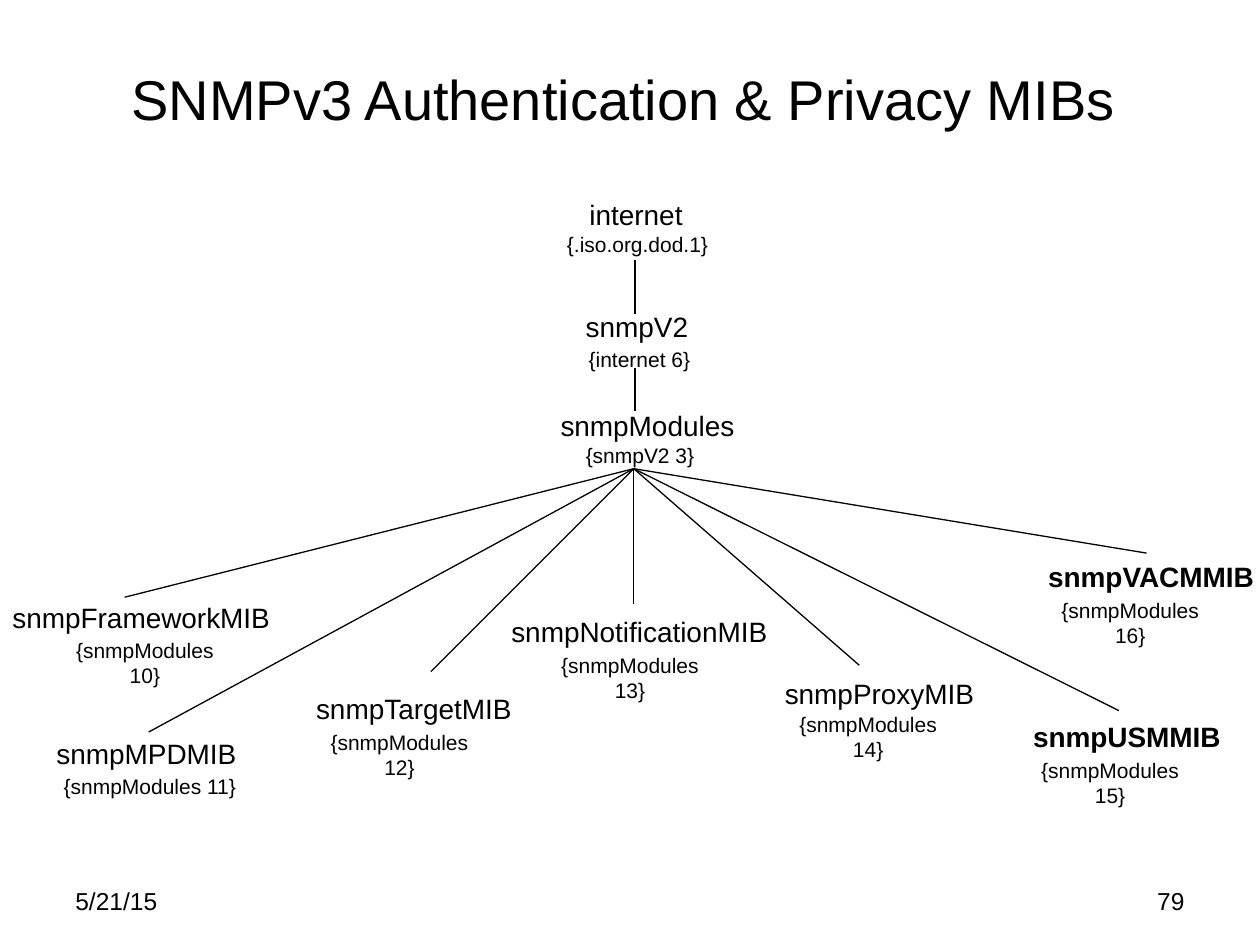
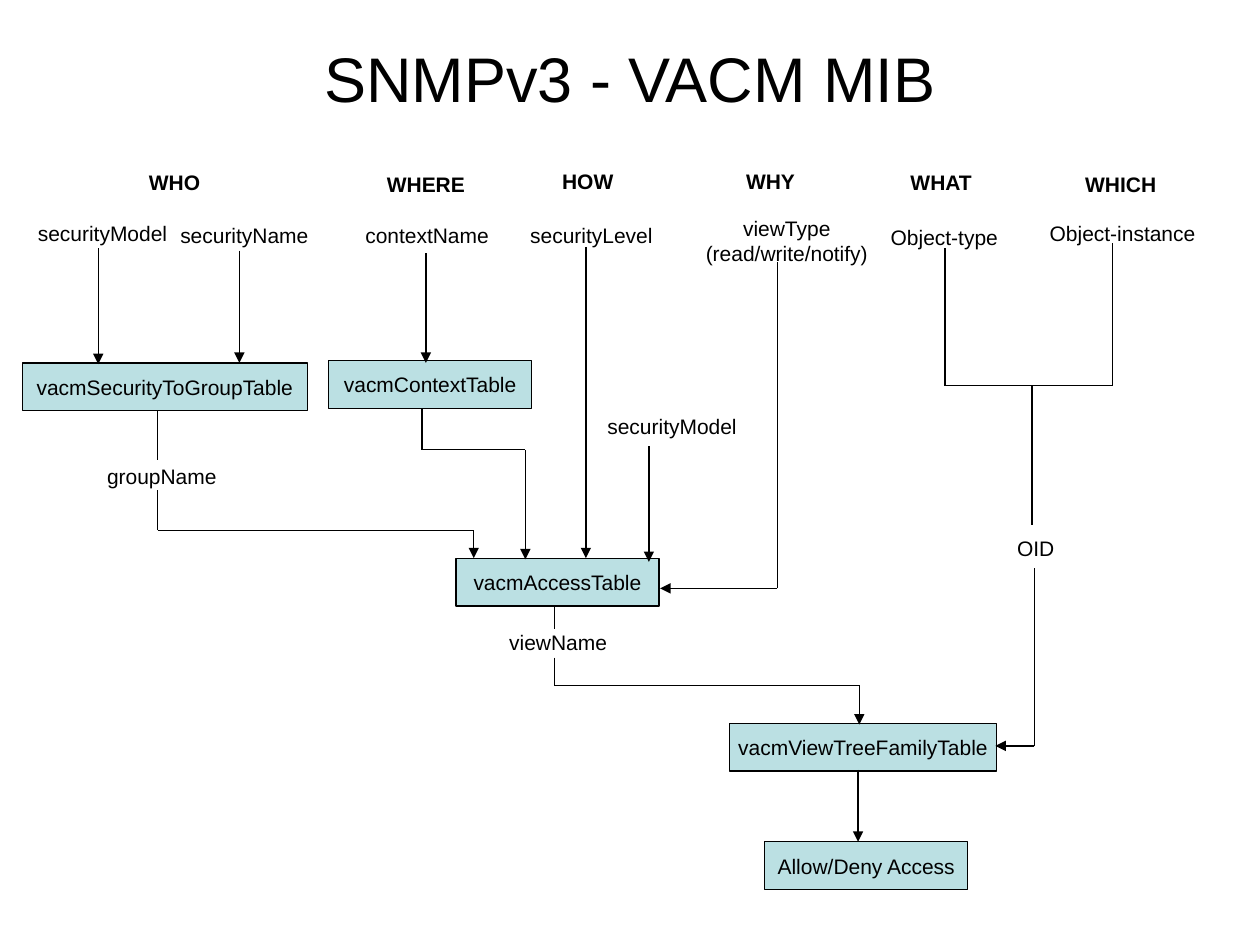
from dataclasses import dataclass
from itertools import pairwise

from pptx import Presentation
from pptx.dml.color import RGBColor
from pptx.enum.shapes import MSO_CONNECTOR, MSO_SHAPE
from pptx.enum.text import MSO_ANCHOR, MSO_AUTO_SIZE, PP_ALIGN
from pptx.oxml.ns import qn
from pptx.oxml.xmlchemy import OxmlElement
from pptx.slide import Slide
from pptx.util import Inches, Pt

LEFT, CENTER, RIGHT = PP_ALIGN.LEFT, PP_ALIGN.CENTER, PP_ALIGN.RIGHT
TOP, MIDDLE = MSO_ANCHOR.TOP, MSO_ANCHOR.MIDDLE
GROW, FIXED = MSO_AUTO_SIZE.SHAPE_TO_FIT_TEXT, MSO_AUTO_SIZE.NONE
RECT, STRAIGHT = MSO_SHAPE.RECTANGLE, MSO_CONNECTOR.STRAIGHT

FONT = "Arial"
INK = "000000"
TEAL = "BBE0E3"
THIN = Pt(0.75)
SMALL, NORMAL, LARGE = 12, 16, 14
NAME_H, ID_H, BOX_H = 0.37, 0.3, 0.38
LEAF_ID_W = 1.58
HUB = (5.03, 3.72)
FIRST_LEAF = 10

Point = tuple[float, float]


@dataclass
class Label:
    text: str
    left: float
    top: float
    width: float
    height: float = ID_H


@dataclass
class Node:
    name: Label
    tag: Label


@dataclass
class Leaf:
    name: Label
    tag_at: Point
    end: Point
    bold: bool = False
    split: bool = True


@dataclass
class Route:
    points: list[Point]
    arrow: bool = True


TRUNK = [
    Node(Label("internet", 4.58, 1.52, 0.94, NAME_H),
         Label("{.iso.org.dod.1}", 4.4, 1.79, 1.32)),
    Node(Label("snmpV2", 4.55, 2.41, 1.02, NAME_H),
         Label("{internet 6}", 4.57, 2.7, 1.01)),
    Node(Label("snmpModules", 4.35, 3.19, 1.58, NAME_H),
         Label("{snmpV2 3}", 4.55, 3.46, 1.06)),
]
STEMS = [(2.06, 2.49), (2.92, 3.26)]
STEM_X = 5.04

LEAVES = [
    Leaf(Label("snmpFrameworkMIB", 0, 4.72, 2.25, NAME_H), (0.51, 5.01), (0.99, 4.74)),
    Leaf(Label("snmpMPDMIB", 0.35, 5.8, 1.63, NAME_H), (0.4, 6.09), (1.18, 5.81),
         split=False),
    Leaf(Label("snmpTargetMIB", 2.41, 5.44, 1.78, NAME_H), (2.53, 5.74), (3.42, 5.33)),
    Leaf(Label("snmpNotificationMIB", 3.96, 4.83, 2.24, NAME_H), (4.36, 5.13), (5.03, 4.79)),
    Leaf(Label("snmpProxyMIB", 6.13, 5.32, 1.71, NAME_H), (6.25, 5.6), (6.82, 5.28)),
    Leaf(Label("snmpUSMMIB", 8.1, 5.66, 1.69, NAME_H), (8.17, 5.96), (8.88, 5.64),
         bold=True),
    Leaf(Label("snmpVACMMIB", 8.22, 4.39, 1.85, NAME_H), (8.33, 4.69), (9.1, 4.39),
         bold=True),
]

TABLES = [
    Label("vacmSecurityToGroupTable", 0.18, 2.88, 2.26, BOX_H),
    Label("vacmContextTable", 2.61, 2.86, 1.61, BOX_H),
    Label("vacmAccessTable", 3.62, 4.43, 1.61, BOX_H),
    Label("vacmViewTreeFamilyTable", 5.79, 5.74, 2.12, BOX_H),
    Label("Allow/Deny Access", 6.07, 6.68, 1.61, BOX_H),
]

QUERIES = [
    Label("WHO", 1.08, 1.3, 0.61),
    Label("WHERE", 2.97, 1.31, 0.82),
    Label("HOW", 4.36, 1.29, 0.61),
    Label("WHY", 5.82, 1.29, 0.59),
    Label("WHAT", 7.12, 1.3, 0.7),
    Label("WHICH", 8.51, 1.31, 0.77),
]

FIELDS = [
    Label("securityModel", 0.2, 1.7, 1.23),
    Label("securityName", 1.33, 1.72, 1.22),
    Label("contextName", 2.8, 1.72, 1.18),
    Label("securityLevel", 4.11, 1.72, 1.17),
    Label("viewType\n(read/write/notify)", 5.5, 1.66, 1.49, 0.5),
    Label("Object-type", 6.97, 1.73, 1.05),
    Label("Object-instance", 8.23, 1.7, 1.36),
    Label("securityModel", 4.72, 3.23, 1.23),
    Label("groupName", 0.75, 3.63, 1.07),
    Label("viewName", 3.94, 4.95, 0.98),
    Label("OID", 7.97, 4.2, 0.5),
]

ROUTES = [
    Route([(0.78, 1.97), (0.78, 2.89)]),
    Route([(1.9, 1.99), (1.9, 2.88)]),
    Route([(3.38, 2.01), (3.38, 2.88)]),
    Route([(4.65, 1.96), (4.65, 4.43)]),
    Route([(5.15, 3.54), (5.15, 4.46)]),
    Route([(1.25, 3.26), (1.25, 3.65)], arrow=False),
    Route([(1.25, 3.89), (1.25, 4.21), (3.76, 4.21), (3.76, 4.43)]),
    Route([(3.35, 3.24), (3.35, 3.57), (4.17, 3.57), (4.17, 4.44)]),
    Route([(6.17, 2.08), (6.17, 4.67), (5.24, 4.67)]),
    Route([(4.4, 4.81), (4.4, 4.99)], arrow=False),
    Route([(4.4, 5.22), (4.4, 5.44), (6.82, 5.44), (6.82, 5.75)]),
    Route([(7.5, 1.97), (7.5, 3.06), (8.83, 3.06), (8.83, 1.93)], arrow=False),
    Route([(8.19, 3.06), (8.19, 4.17)], arrow=False),
    Route([(8.21, 4.51), (8.21, 5.92), (7.9, 5.92)]),
    Route([(6.81, 6.11), (6.81, 6.68)]),
]


def tint(code: str) -> RGBColor:
    return RGBColor.from_string(code)


def frame(label: Label) -> list[int]:
    return [Inches(n) for n in (label.left, label.top, label.width, label.height)]


def write(shape, text: str, *, size: float = SMALL, bold: bool = False,
          align=CENTER, anchor=TOP, wrap: bool = False, fit=FIXED) -> None:
    body = shape.text_frame
    body.word_wrap = wrap
    body.auto_size = fit
    body.vertical_anchor = anchor
    body.text = text
    for para in body.paragraphs:
        para.alignment = align
        para.font.name = FONT
        para.font.size = Pt(size)
        para.font.bold = bold
        para.font.color.rgb = tint(INK)


def add_text(slide: Slide, label: Label, **style):
    shape = slide.shapes.add_textbox(*frame(label))
    write(shape, label.text, **style)
    return shape


def add_title(slide: Slide, label: Label, size: float) -> None:
    add_text(slide, label, size=size, anchor=MIDDLE, wrap=True)


def add_box(slide: Slide, label: Label) -> None:
    box = slide.shapes.add_shape(RECT, *frame(label))
    box.shadow.inherit = False
    box.fill.solid()
    box.fill.fore_color.rgb = tint(TEAL)
    box.line.color.rgb = tint(INK)
    box.line.width = THIN
    write(box, label.text, anchor=MIDDLE)


def add_line(slide: Slide, start: Point, end: Point, arrow: bool = False) -> None:
    ends = [Inches(n) for n in (*start, *end)]
    line = slide.shapes.add_connector(STRAIGHT, *ends)
    line.line.color.rgb = tint(INK)
    line.line.width = THIN
    props = line.element.spPr
    if arrow:
        tip = OxmlElement("a:tailEnd")
        tip.set("type", "triangle")
        props.find(qn("a:ln")).append(tip)
    props.append(OxmlElement("a:effectLst"))


def add_route(slide: Slide, route: Route) -> None:
    """Draw straight legs; only the last one may carry the arrowhead."""
    for start, end in pairwise(route.points):
        add_line(slide, start, end, route.arrow and end == route.points[-1])


def add_name(slide: Slide, label: Label, bold: bool = False) -> None:
    add_text(slide, label, size=NORMAL, bold=bold, align=LEFT, fit=GROW)


def add_leaf(slide: Slide, leaf: Leaf, number: int) -> None:
    add_line(slide, HUB, leaf.end)
    add_name(slide, leaf.name, leaf.bold)
    label = Label(f"{{snmpModules {number}}}", *leaf.tag_at, LEAF_ID_W)
    tag = add_text(slide, label, wrap=leaf.split, fit=FIXED if leaf.split else GROW)
    if leaf.split:
        tag.text_frame.margin_left = Inches(0.05)
        tag.text_frame.margin_right = Inches(0.35)


def draw_tree(slide: Slide) -> None:
    add_title(slide, Label("SNMPv3 Authentication & Privacy MIBs", 0.45, 0.15, 9, 1.25), 32)
    for node in TRUNK:
        add_name(slide, node.name)
        add_text(slide, node.tag, fit=GROW)
    for top, bottom in STEMS:
        add_line(slide, (STEM_X, top), (STEM_X, bottom))
    for number, leaf in enumerate(LEAVES, FIRST_LEAF):
        add_leaf(slide, leaf, number)
    for text, left, align in (("5/21/15", 0.5, LEFT), ("79", 7.17, RIGHT)):
        add_text(slide, Label(text, left, 6.98, 2.33, 0.52),
                 size=LARGE, align=align, wrap=True)


def draw_flow(slide: Slide) -> None:
    add_title(slide, Label("SNMPv3 - VACM MIB", 0.5, 0.17, 9, 0.88), 36)
    for table in TABLES:
        add_box(slide, table)
    for route in ROUTES:
        add_route(slide, route)
    for field in FIELDS:
        add_text(slide, field, fit=GROW)
    for query in QUERIES:
        add_text(slide, query, bold=True, fit=GROW)


def main() -> None:
    deck = Presentation()
    deck.slide_width, deck.slide_height = Inches(10), Inches(7.5)
    blank = deck.slide_layouts[6]
    for draw in (draw_tree, draw_flow):
        draw(deck.slides.add_slide(blank))
    deck.save("out.pptx")


if __name__ == "__main__":
    main()
